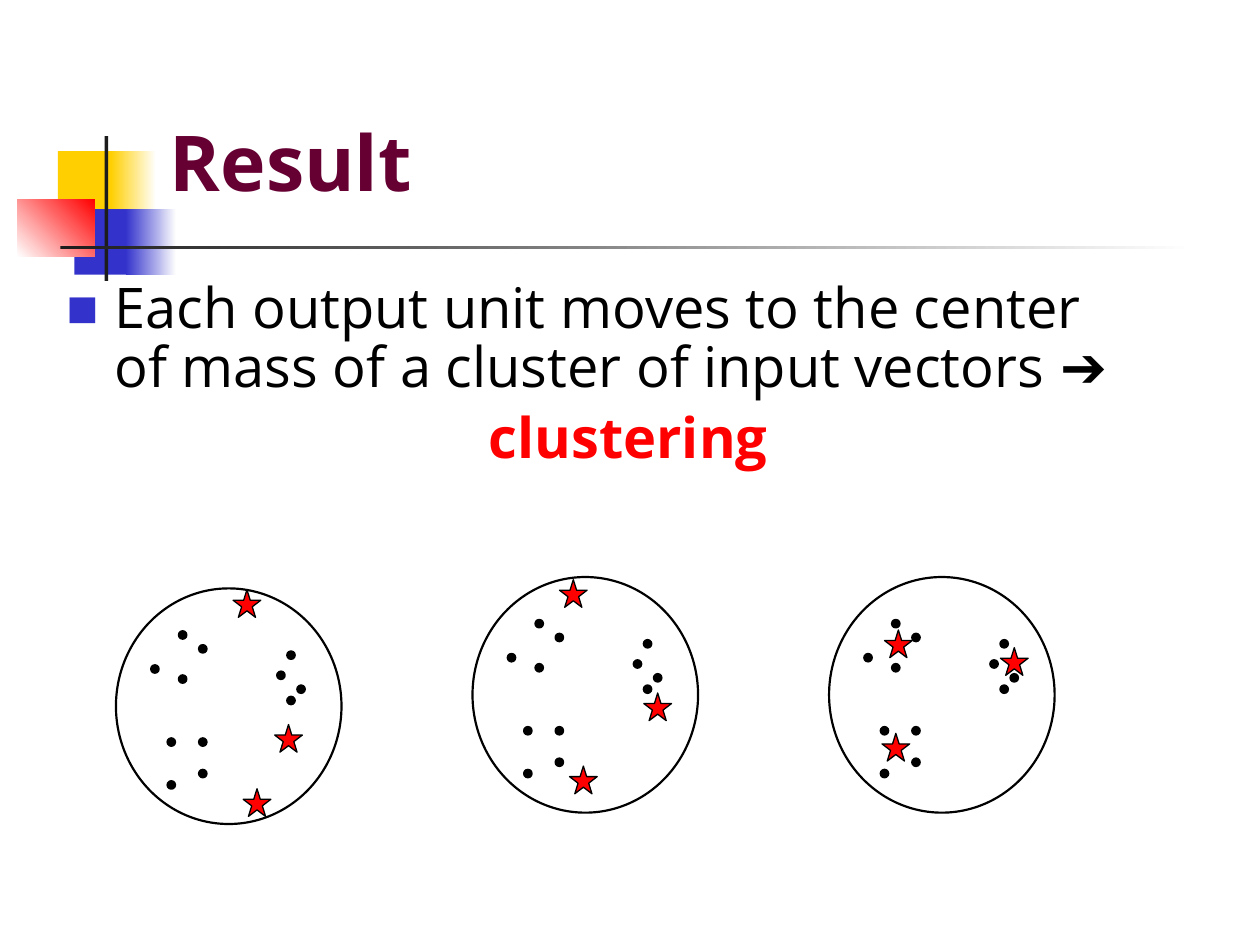
from typing import NamedTuple, Optional

from lxml.etree import SubElement
from pptx import Presentation
from pptx.dml.color import RGBColor
from pptx.enum.shapes import MSO_SHAPE
from pptx.enum.text import MSO_ANCHOR
from pptx.oxml.ns import qn
from pptx.util import Inches, Pt


class Block(NamedTuple):
    x: float
    y: float
    w: float
    h: float
    color: str
    fade_to: Optional[str] = None
    angle: float = 0


class Panel(NamedTuple):
    x: float
    y: float
    stars: list  # centres, relative to the panel


BLOCKS = [
    Block(0.46, 1.2, 0.48, 0.52, "FFCF01"),
    Block(0.88, 1.2, 0.36, 0.52, "FFCF01", "FFFFFF"),
    Block(0.59, 1.66, 0.46, 0.52, "3333CC"),
    Block(1, 1.66, 0.4, 0.52, "3333CC", "FFFFFF"),
    Block(0.14, 1.58, 0.61, 0.46, "FFFFFF", "FF0000", 45),
    Block(0.83, 1.08, 0.03, 1.15, "1C1C1C"),
    Block(0.48, 1.95, 9, 0.03, "1C1C1C", "FFFFFF"),
]
# Input vectors, relative to the panel
DOTS = [
    (0.5, 0.34), (0.66, 0.45), (0.28, 0.61), (0.5, 0.69),
    (0.41, 1.19), (0.66, 1.19), (0.66, 1.44), (0.41, 1.53),
    (1.36, 0.5), (1.28, 0.66), (1.44, 0.77), (1.36, 0.86),
]
PANELS = [
    Panel(0.92, 4.67, [(1.04, 0.12), (1.37, 1.19), (1.12, 1.7)]),
    Panel(3.75, 4.58, [(0.8, 0.13), (1.47, 1.03), (0.88, 1.61)]),
    Panel(6.58, 4.58, [(0.55, 0.53), (1.47, 0.67), (0.53, 1.35)]),
]
DOT, STAR = 0.06, 0.22


def rgb(color: str) -> RGBColor:
    return RGBColor.from_string(color)


def add_shape(shapes, kind, x, y, w, h, fill=None, line=None):
    sp = shapes.add_shape(kind, Inches(x), Inches(y), Inches(w), Inches(h))
    sp.shadow.inherit = False
    if fill:
        sp.fill.solid()
        sp.fill.fore_color.rgb = rgb(fill)
    else:
        sp.fill.background()
    if line:
        sp.line.color.rgb = rgb("000000")
        sp.line.width = Pt(line)
    else:
        sp.line.fill.background()
    return sp


def add_block(shapes, b: Block) -> None:
    sp = add_shape(shapes, MSO_SHAPE.RECTANGLE, b.x, b.y, b.w, b.h, b.color)
    if b.fade_to:
        sp.fill.gradient()
        sp.fill.gradient_angle = b.angle
        for stop, color in zip(sp.fill.gradient_stops, (b.color, b.fade_to)):
            stop.color.rgb = rgb(color)


def add_panel(shapes, panel: Panel) -> None:
    group = shapes.add_group_shape().shapes
    add_shape(group, MSO_SHAPE.OVAL, panel.x, panel.y, 1.79, 1.87, line=1.25)
    for dx, dy in DOTS:
        add_shape(group, MSO_SHAPE.OVAL, panel.x + dx, panel.y + dy,
                  DOT, DOT, "000000", 1.25)
    for cx, cy in panel.stars:
        add_shape(shapes, MSO_SHAPE.STAR_5_POINT, panel.x + cx - STAR / 2,
                  panel.y + cy - STAR / 2, STAR, STAR, "FF0000", 0.75)


def add_text_frame(shapes, x, y, w, h, anchor):
    tf = shapes.add_textbox(Inches(x), Inches(y), Inches(w), Inches(h)).text_frame
    tf.word_wrap = True
    tf.vertical_anchor = anchor
    return tf


def add_run(p, text: str, size: float, color: str, bold: bool = False) -> None:
    r = p.add_run()
    r.text = text
    r.font.color.rgb = rgb(color)
    for name, value in {"name": "Open Sans", "size": Pt(size), "bold": bold}.items():
        setattr(r.font, name, value)


def set_indent(p, left: float, first: float = 0, bullet: str = "") -> None:
    pPr = p._p.get_or_add_pPr()
    pPr.set("marL", str(Inches(left)))
    pPr.set("indent", str(Inches(first)))
    if bullet:
        clr = SubElement(pPr, qn("a:buClr"))
        SubElement(clr, qn("a:srgbClr"), val="3333CC")
        SubElement(pPr, qn("a:buSzPct"), val="60000")
        SubElement(pPr, qn("a:buFont"), typeface="Open Sans")
        SubElement(pPr, qn("a:buChar"), char=bullet)


prs = Presentation()
prs.slide_width, prs.slide_height = Inches(10), Inches(7.5)
s = prs.slides.add_slide(prs.slide_layouts[6])

# Corner ornament and rule
for block in BLOCKS:
    add_block(s.shapes, block)

# Title
tf = add_text_frame(s.shapes, 1.25, 0.44, 8.52, 1.25, MSO_ANCHOR.BOTTOM)
add_run(tf.paragraphs[0], "Result", 44, "660033", True)

# Body
tf = add_text_frame(s.shapes, 0.43, 2.18, 8.5, 4.5, MSO_ANCHOR.TOP)
p = tf.paragraphs[0]
add_run(p, "Each output unit moves to the center of mass of a cluster "
           "of input vectors \u2794", 32, "000000")
set_indent(p, 0.38, -0.38, "\u25a0")
p = tf.add_paragraph()
add_run(p, "clustering", 32, "FF0000", True)
set_indent(p, 3.35)
for p in tf.paragraphs:
    p.line_spacing = 0.88
    p.space_before = Pt(7)

# Clusters with the moving output units
for panel in PANELS:
    add_panel(s.shapes, panel)

prs.save("out.pptx")
